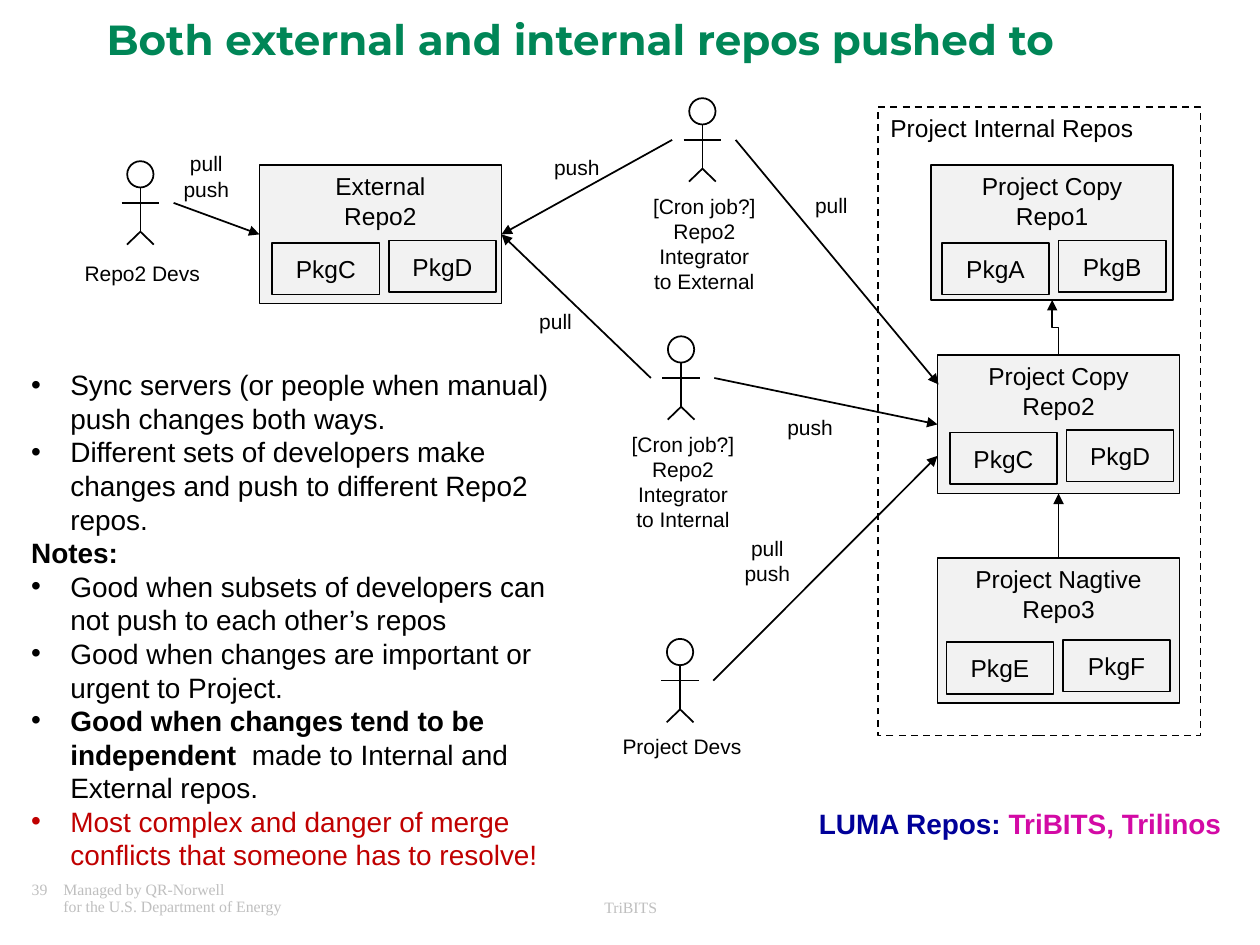
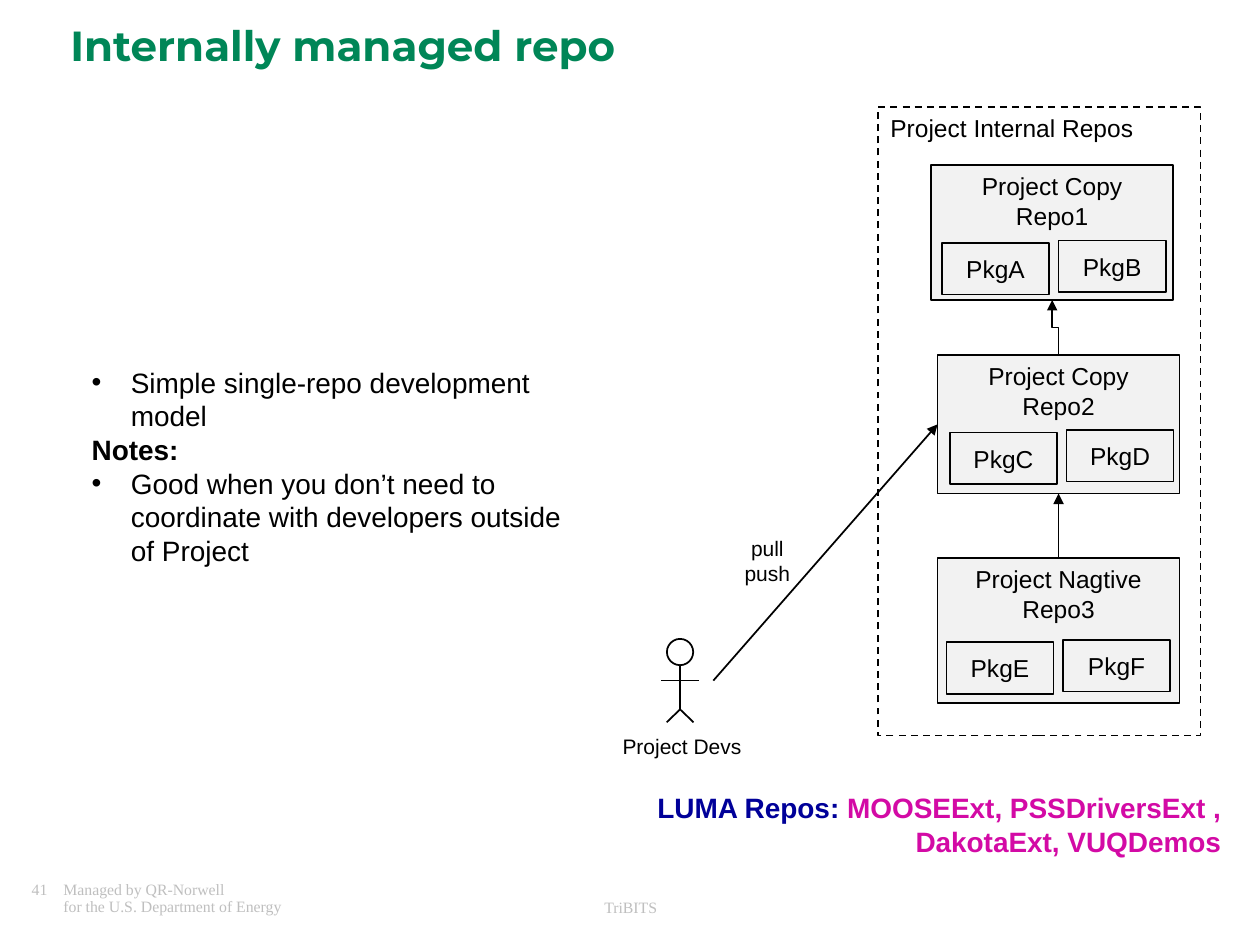
from lxml.etree import SubElement
from pptx import Presentation
from pptx.dml.color import RGBColor
from pptx.enum.dml import MSO_LINE
from pptx.enum.shapes import MSO_CONNECTOR, MSO_SHAPE
from pptx.enum.text import MSO_ANCHOR, MSO_AUTO_SIZE, PP_ALIGN
from pptx.oxml.ns import qn
from pptx.util import Cm, Pt

BLACK = RGBColor(0x00, 0x00, 0x00)
BOX_GREY = RGBColor(0xF2, 0xF2, 0xF2)
FOOTER_GREY = RGBColor(0xBF, 0xBF, 0xBF)
TITLE_GREEN = RGBColor(0x00, 0x86, 0x57)
WARNING_RED = RGBColor(0xC0, 0x00, 0x00)
LABEL_BLUE = RGBColor(0x00, 0x00, 0x99)
REPO_MAGENTA = RGBColor(0xD3, 0x0A, 0xA5)

BODY_FONT = "Arial"
TITLE_FONT = "Montserrat"
FOOTER_FONT = "Times New Roman"

TOP, LEFT, BOTTOM, RIGHT = range(4)
REPO_WIDTH = 4.88
PACKAGE_WIDTH, PACKAGE_HEIGHT = 2.16, 1.04
PACKAGE_STEP = (2.35, -0.05)
LABEL_WIDTH = 3.4
LINE_HEIGHT = 0.51


def write(paragraph, text, size=12, font=BODY_FONT, color=BLACK, bold=False):
    """Append text to a paragraph; a vertical tab in it is a line break."""
    for number, line in enumerate(text.split("\v")):
        if number:
            paragraph.add_line_break()
        run = paragraph.add_run()
        run.text = line
        run.font.size = Pt(size)
        run.font.name = font
        run.font.color.rgb = color
        run.font.bold = bold


def next_paragraph(frame, align=PP_ALIGN.LEFT):
    first = frame.paragraphs[0]
    paragraph = frame.add_paragraph() if first.runs else first
    paragraph.alignment = align
    return paragraph


def write_lines(frame, text, align=PP_ALIGN.CENTER, **text_format):
    for line in text.split("\n"):
        write(next_paragraph(frame, align), line, **text_format)


def add_text_box(slide, left, top, width, height, grow=False):
    frame = slide.shapes.add_textbox(Cm(left), Cm(top), Cm(width), Cm(height)).text_frame
    frame.word_wrap = True
    if grow:
        frame.auto_size = MSO_AUTO_SIZE.SHAPE_TO_FIT_TEXT
    return frame


def add_label(slide, left, top, text, lines=None):
    lines = lines or len(text.split("\n"))
    frame = add_text_box(slide, left, top, LABEL_WIDTH, 0.25 + lines * LINE_HEIGHT, grow=True)
    write_lines(frame, text)


def set_outline(shape):
    shape.line.color.rgb = BLACK
    shape.line.width = Pt(1)


def add_box(slide, left, top, width, height, text, fill=BOX_GREY,
            anchor=MSO_ANCHOR.TOP, align=PP_ALIGN.CENTER):
    box = slide.shapes.add_shape(MSO_SHAPE.RECTANGLE, Cm(left), Cm(top), Cm(width), Cm(height))
    box.shadow.inherit = False
    if fill is None:
        box.fill.background()
    else:
        box.fill.solid()
        box.fill.fore_color.rgb = fill
    set_outline(box)
    box.text_frame.word_wrap = True
    box.text_frame.vertical_anchor = anchor
    write_lines(box.text_frame, text, align=align, size=14)
    return box


def add_repo(slide, left, top, height, name, packages, package_offset):
    """Draw a repository with its two packages, and return its box."""
    repo = add_box(slide, left, top, REPO_WIDTH, height, name)
    for index, package in enumerate(packages):
        add_box(slide,
                left + package_offset[0] + index * PACKAGE_STEP[0],
                top + package_offset[1] + index * PACKAGE_STEP[1],
                PACKAGE_WIDTH, PACKAGE_HEIGHT, package, anchor=MSO_ANCHOR.MIDDLE)
    return repo


def add_line(shapes, begin=(0, 0), end=(0, 0), kind=MSO_CONNECTOR.STRAIGHT):
    line = shapes.add_connector(kind, *(Cm(value) for value in (*begin, *end)))
    set_outline(line)
    SubElement(line._element.spPr, qn("a:effectLst"))
    return line


def add_arrow(slide, begin=(0, 0), end=(0, 0), begin_joint=None, end_joint=None,
              kind=MSO_CONNECTOR.STRAIGHT):
    """Draw an arrow between points or joints; a joint is a box and its side."""
    arrow = add_line(slide.shapes, begin, end, kind)
    if begin_joint:
        arrow.begin_connect(*begin_joint)
    if end_joint:
        arrow.end_connect(*end_joint)
    SubElement(arrow.line._get_or_add_ln(), qn("a:tailEnd"), type="triangle")
    return arrow


def add_upward_elbow(slide, lower, upper):
    """Link the top of one box to the bottom of another, slightly to its left."""
    elbow = add_arrow(slide, begin_joint=(lower, TOP), end_joint=(upper, BOTTOM),
                      kind=MSO_CONNECTOR.ELBOW)
    center_x = elbow.left + elbow.width // 2
    center_y = elbow.top + elbow.height // 2
    length, shift = elbow.height, elbow.width
    elbow.left, elbow.top = center_x - length // 2, center_y - shift // 2
    elbow.width, elbow.height = length, shift
    transform = elbow._element.spPr.find(qn("a:xfrm"))
    transform.attrib.pop("flipH", None)
    transform.set("flipV", "1")
    transform.set("rot", str(270 * 60000))


def add_person(slide, center, top, label, label_lines=1, label_drop=1.79):
    """Draw a labelled stick figure; return the points beside its two hands."""
    head, arms, hip, feet = 0.53, 0.84, 1.42, 1.68
    arm_reach, foot_reach = 0.38, 0.27
    shapes = slide.shapes.add_group_shape().shapes
    face = shapes.add_shape(MSO_SHAPE.OVAL, Cm(center - head / 2), Cm(top), Cm(head), Cm(head))
    face.shadow.inherit = False
    face.fill.background()
    set_outline(face)
    for x1, y1, x2, y2 in ((0, head, 0, hip), (-arm_reach, arms, arm_reach, arms),
                           (0, hip, -foot_reach, feet), (0, hip, foot_reach, feet)):
        add_line(shapes, (center + x1, top + y1), (center + x2, top + y2))
    add_label(slide, center - 1.66, top + label_drop, label, label_lines)
    return (center - 0.61, top + arms), (center + 0.67, top + arms)


def add_title(slide, left, top, text):
    frame = add_text_box(slide, left, top, 21.59, 1.07)
    frame.vertical_anchor = MSO_ANCHOR.MIDDLE
    write_lines(frame, text, align=PP_ALIGN.LEFT, size=24, font=TITLE_FONT,
                color=TITLE_GREEN, bold=True)


def add_footer(slide, number):
    footer_format = {"size": 9, "font": FOOTER_FONT, "color": FOOTER_GREY}
    frame = add_text_box(slide, 0.64, 17.78, 7.82, 0.84)
    frame.margin_left = frame.margin_right = frame.margin_top = frame.margin_bottom = 0
    paragraph = next_paragraph(frame)
    paragraph.line_spacing = 0.9
    tabs = SubElement(paragraph._p.get_or_add_pPr(), qn("a:tabLst"))
    SubElement(tabs, qn("a:tab"), pos=str(Cm(0.64)), algn="l")
    write(paragraph, f"{number}\tManaged by QR-Norwell\v\tfor the U.S. Department of Energy",
          **footer_format)
    write_lines(add_text_box(slide, 8.69, 17.98, 8.05, 0.51), "TriBITS", **footer_format)


def add_notes_heading(frame):
    paragraph = next_paragraph(frame)
    paragraph._p.get_or_add_pPr().set("marL", str(Cm(0.48)))
    write(paragraph, "Notes:", size=16, bold=True)


def add_bullet(frame, text, bold_start="", color=BLACK):
    paragraph = next_paragraph(frame)
    properties = paragraph._p.get_or_add_pPr()
    properties.set("marL", str(Cm(1.27)))
    properties.set("indent", str(Cm(-0.79)))
    SubElement(properties, qn("a:buFont"), typeface=BODY_FONT)
    SubElement(properties, qn("a:buChar"), char="•")
    if bold_start:
        write(paragraph, bold_start, size=16, color=color, bold=True)
    write(paragraph, text, size=16, color=color)


def add_repo_examples(slide, left, top, height, names):
    right_edge = 24.87
    frame = add_text_box(slide, left, top, right_edge - left, height, grow=True)
    paragraph = next_paragraph(frame, PP_ALIGN.RIGHT)
    write(paragraph, "LUMA Repos: ", size=16, color=LABEL_BLUE, bold=True)
    write(paragraph, names, size=16, color=REPO_MAGENTA, bold=True)


def add_internal_repos(slide):
    """Draw the framed column of project repositories; return the Repo2 box."""
    repo1 = add_repo(slide, 18.77, 3.33, 2.72, "Project Copy\nRepo1", ("PkgA", "PkgB"), (0.22, 1.57))
    repo2 = add_repo(slide, 18.9, 7.16, 2.79, "Project Copy\nRepo2", ("PkgC", "PkgD"), (0.25, 1.56))
    repo3 = add_repo(slide, 18.9, 11.25, 2.92, "Project Nagtive\nRepo3", ("PkgE", "PkgF"), (0.18, 1.7))
    frame = add_box(slide, 17.7, 2.16, 6.5, 12.67, "Project Internal Repos",
                    fill=None, align=PP_ALIGN.LEFT)
    frame.line.dash_style = MSO_LINE.DASH
    add_upward_elbow(slide, repo2, repo1)
    add_arrow(slide, begin_joint=(repo3, TOP), end_joint=(repo2, BOTTOM))
    return repo2


def add_project_developers(slide):
    """Draw the developers and their label; return the point beside their right hand."""
    add_label(slide, 13.77, 10.67, "pull\npush")
    return add_person(slide, 13.71, 12.88, "Project Devs")[1]


def add_slide(presentation, number):
    slide = presentation.slides.add_slide(presentation.slide_layouts[6])
    add_footer(slide, number)
    return slide


def build_pushed_repos(presentation):
    slide = add_slide(presentation, 39)
    add_title(slide, 1.9, 0.25, "Both external and internal repos pushed to")
    external = add_repo(slide, 5.23, 3.33, 2.79, "External\nRepo2", ("PkgC", "PkgD"), (0.26, 1.57))
    internal = add_internal_repos(slide)

    frame = add_text_box(slide, -0.1, 7.29, 11.94, 10.52, grow=True)
    add_bullet(frame, "Sync servers (or people when manual) push changes both ways.")
    add_bullet(frame, "Different sets of developers make changes and push to different Repo2 repos.")
    add_notes_heading(frame)
    add_bullet(frame, "Good when subsets of developers can not push to each other’s repos")
    add_bullet(frame, "Good when changes are important or urgent to Project.")
    add_bullet(frame, "made to Internal and External repos.",
               bold_start="Good when changes tend to be independent  ")
    add_bullet(frame, "Most complex and danger of merge conflicts that someone has to resolve!",
               color=WARNING_RED)

    _, repo2_hand = add_person(slide, 2.83, 3.25, "Repo2 Devs", label_drop=1.88)
    add_arrow(slide, repo2_hand, end_joint=(external, LEFT))

    left_hand, right_hand = add_person(
        slide, 14.16, 1.98, "[Cron job?] Repo2 Integrator\nto External", label_lines=4)
    add_arrow(slide, left_hand, end_joint=(external, RIGHT))
    add_arrow(slide, right_hand, (18.92, 7.75))

    left_hand, right_hand = add_person(
        slide, 13.73, 6.78, "[Cron job?] Repo2 Integrator\nto Internal", label_lines=4)
    add_arrow(slide, left_hand, end_joint=(external, RIGHT))
    add_arrow(slide, right_hand, end_joint=(internal, LEFT))

    add_arrow(slide, add_project_developers(slide), (18.9, 9.19))

    for left, top, text in ((2.46, 2.92, "pull\npush"), (9.5, 6.1, "pull"), (14.63, 8.23, "push"),
                            (9.93, 3, "push"), (15.06, 3.76, "pull")):
        add_label(slide, left, top, text)
    add_repo_examples(slide, 11.84, 16.13, 0.94, "TriBITS, Trilinos")


def build_managed_repo(presentation):
    slide = add_slide(presentation, 41)
    add_title(slide, 1.17, 0.36, "Internally managed repo")
    internal = add_internal_repos(slide)

    frame = add_text_box(slide, 1.12, 7.24, 10.8, 4.34, grow=True)
    add_bullet(frame, "Simple single-repo development model")
    add_notes_heading(frame)
    add_bullet(frame, "Good when you don’t need to coordinate with developers outside of Project")

    add_arrow(slide, add_project_developers(slide), end_joint=(internal, LEFT))
    add_repo_examples(slide, 10.11, 15.82, 1.63, "MOOSEExt, PSSDriversExt , DakotaExt, VUQDemos")


def main():
    presentation = Presentation()
    presentation.slide_width, presentation.slide_height = Cm(25.4), Cm(19.05)
    build_pushed_repos(presentation)
    build_managed_repo(presentation)
    presentation.save("out.pptx")


if __name__ == "__main__":
    main()
